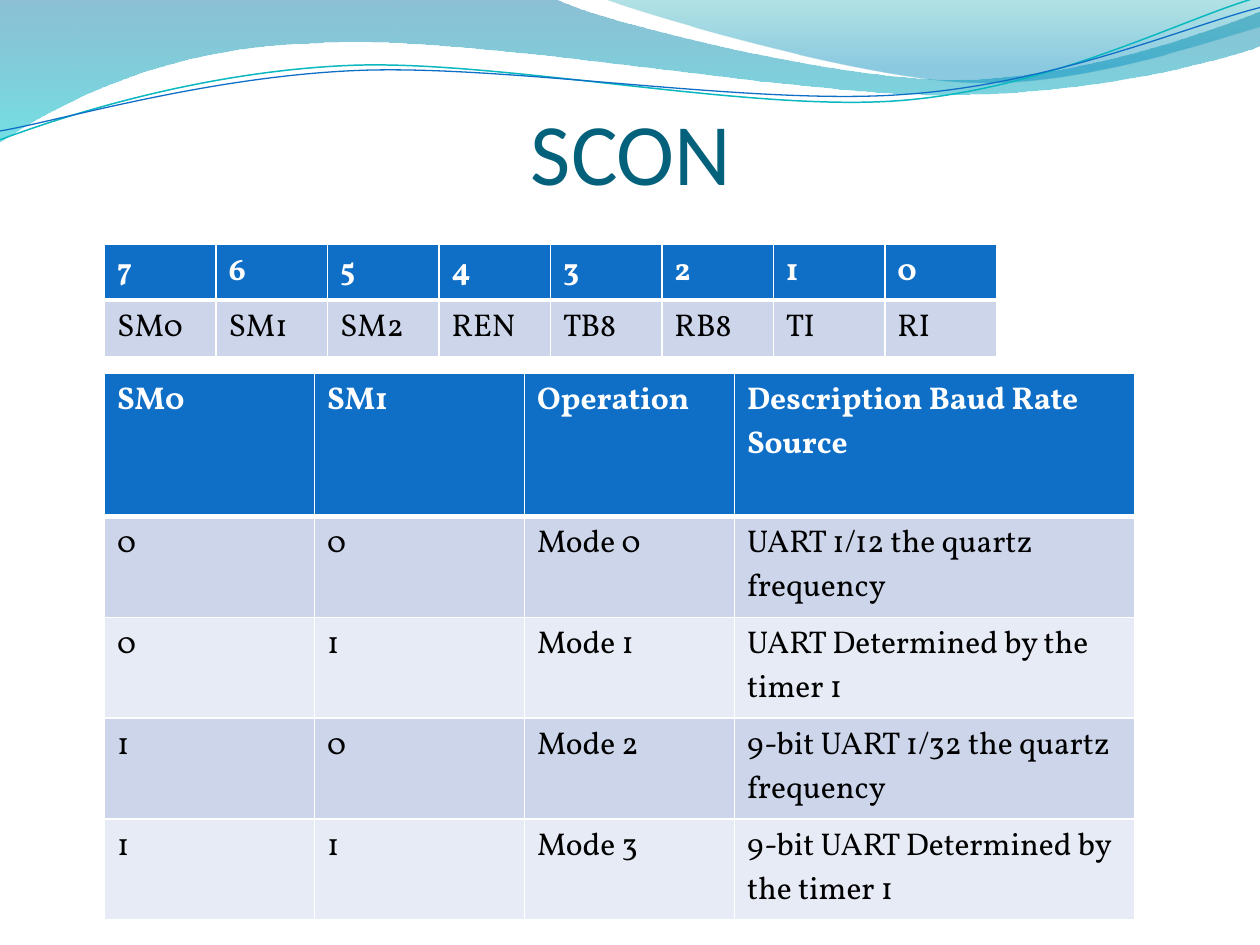
from lxml.etree import SubElement
from pptx import Presentation
from pptx.dml.color import RGBColor
from pptx.enum.text import MSO_ANCHOR, PP_ALIGN
from pptx.oxml.ns import qn
from pptx.util import Inches, Pt

BLUE = RGBColor(0x0F, 0x6F, 0xC6)
TEAL = RGBColor(0x0A, 0xB8, 0xBF)
TITLE = RGBColor(0x04, 0x61, 0x7B)
WHITE = RGBColor(255, 255, 255)
BLACK = RGBColor(0, 0, 0)
BANDS = [RGBColor(0xCC, 0xD5, 0xEA), RGBColor(0xE7, 0xEB, 0xF5)]

BITS = [
    ["7", "6", "5", "4", "3", "2", "1", "0"],
    ["SM0", "SM1", "SM2", "REN", "TB8", "RB8", "TI", "RI"],
]
MODES = [
    ["SM0", "SM1", "Operation", "Description Baud Rate Source"],
    ["0", "0", "Mode 0", "UART 1/12 the quartz frequency"],
    ["0", "1", "Mode 1", "UART Determined by the timer 1"],
    ["1", "0", "Mode 2", "9-bit UART 1/32 the quartz frequency"],
    ["1", "1", "Mode 3", "9-bit UART Determined by the timer 1"],
]

# Each outline is a start point, then a line (2 numbers) or a curve (6 numbers) per step.
# Gradient stops: position, colour, opacity in percent.
WAVES = [
    ([(0, 0), (4.4, -0.01), (4.76, 0.17, 6.64, 0.63, 7.58, 0.63),
      (8.53, 0.63, 9.58, 0.26, 10, 0.09), (10.01, 0.36),
      (9.83, 0.44, 8.7, 0.76, 7.46, 0.75), (6.22, 0.75, 3.82, 0.28, 2.57, 0.34),
      (1.29, 0.36, 0.46, 0.83, -0.01, 1.13), (0, 0)],
     [(0, RGBColor(0, 0x74, 0xA1), 45), (1, RGBColor(0, 0xC6, 0xCF), 55)]),
    ([(4.79, -0.01), (5.09, 0.11, 6.82, 0.62, 7.69, 0.65),
      (8.56, 0.69, 9.61, 0.32, 10, 0.21), (10, 0), (4.79, -0.01)],
     [(0, RGBColor(0, 0xA1, 0xA9), 30), (0.8, RGBColor(0, 0x8B, 0xBF), 45)]),
]
STRANDS = [
    ([(0, 1.11), (0.48, 0.93, 1.58, 0.57, 2.77, 0.52),
      (3.95, 0.47, 5.93, 0.89, 7.13, 0.8), (8.33, 0.71, 9.38, 0.15, 9.98, -0.02)],
     TEAL, 0.85),
    ([(0, 1.04), (0.47, 0.96, 1.64, 0.61, 2.83, 0.56),
      (4.03, 0.51, 5.97, 0.84, 7.17, 0.75), (8.36, 0.67, 9.41, 0.21, 10, 0.06)],
     BLUE, 0.75),
]


def outline(slide, steps, close):
    """Build a freeform through the step ends, then bend the curved steps."""
    ends = [(Inches(s[-2]), Inches(s[-1])) for s in steps]
    pen = slide.shapes.build_freeform(*ends[0])
    pen.add_line_segments(ends[1:], close=close)
    shape = pen.convert_to_shape()
    shape.shadow.inherit = False
    lines = list(shape.element.spPr.iter(qn("a:lnTo")))
    for line, step in zip(lines, steps[1:]):
        if len(step) == 6:
            line.tag = qn("a:cubicBezTo")
            for i in (2, 0):
                pt = line.makeelement(qn("a:pt"), {
                    "x": str(Inches(step[i]) - shape.left),
                    "y": str(Inches(step[i + 1]) - shape.top)})
                line.insert(0, pt)
    return shape


def add_wave(slide, steps, stops):
    shape = outline(slide, steps, True)
    shape.line.fill.background()
    shape.fill.gradient()
    shape.fill.gradient_angle = 270
    for stop, (pos, color, _) in zip(shape.fill.gradient_stops, stops):
        stop.position = pos
        stop.color.rgb = color
    tags = shape.element.spPr.iter(qn("a:srgbClr"))
    for tag, (_, _, alpha) in zip(tags, stops):
        SubElement(tag, qn("a:alpha"), val=str(alpha * 1000))


def add_strand(slide, steps, color, width):
    shape = outline(slide, steps, False)
    shape.fill.background()
    shape.line.color.rgb = color
    shape.line.width = Pt(width)


def add_borders(cell, row):
    props = cell._tc.get_or_add_tcPr()
    for side in "LRTB":
        thick = (row, side) in ((0, "B"), (1, "T"))
        line = SubElement(props, qn("a:ln" + side), w=str(Pt(3 if thick else 1)))
        fill = SubElement(line, qn("a:solidFill"))
        SubElement(fill, qn("a:srgbClr"), val=str(WHITE))


def add_grid(slide, rows, left, top, widths, heights):
    frame = slide.shapes.add_table(len(rows), len(widths), Inches(left), Inches(top),
                                   Inches(sum(widths)), Inches(sum(heights)))
    table = frame.table
    for col, width in zip(table.columns, widths):
        col.width = Inches(width)
    for r, (row, height) in enumerate(zip(rows, heights)):
        table.rows[r].height = Inches(height)
        for c, text in enumerate(row):
            cell = table.cell(r, c)
            add_borders(cell, r)
            cell.fill.solid()
            cell.fill.fore_color.rgb = BANDS[(r - 1) % 2] if r else BLUE
            cell.text_frame.text = text
            font = cell.text_frame.paragraphs[0].runs[0].font
            font.name, font.size, font.bold = "Vollkorn", Pt(18), r == 0
            font.color.rgb = BLACK if r else WHITE


def add_title(slide, text):
    box = slide.shapes.add_textbox(Inches(0.51), Inches(0.36), Inches(9), Inches(1.25))
    frame = box.text_frame
    frame.word_wrap = True
    frame.vertical_anchor = MSO_ANCHOR.BOTTOM
    frame.margin_left = frame.margin_right = frame.margin_bottom = 0
    frame.text = text
    para = frame.paragraphs[0]
    para.alignment = PP_ALIGN.CENTER
    font = para.runs[0].font
    font.name, font.size = "Calibri", Pt(50)
    font.color.rgb = TITLE


def main():
    prs = Presentation()
    prs.slide_width, prs.slide_height = Inches(10), Inches(7.5)
    slide = prs.slides.add_slide(prs.slide_layouts[6])
    for wave in WAVES:
        add_wave(slide, *wave)
    for strand in STRANDS:
        add_strand(slide, *strand)
    add_title(slide, "SCON")
    add_grid(slide, BITS, 0.83, 1.94, [7.08 / 8] * 8, [0.44, 0.45])
    add_grid(slide, MODES, 0.83, 2.96, [5 / 3] * 3 + [3.18], [1.14] + [0.8] * 4)
    prs.save("out.pptx")


if __name__ == "__main__":
    main()
